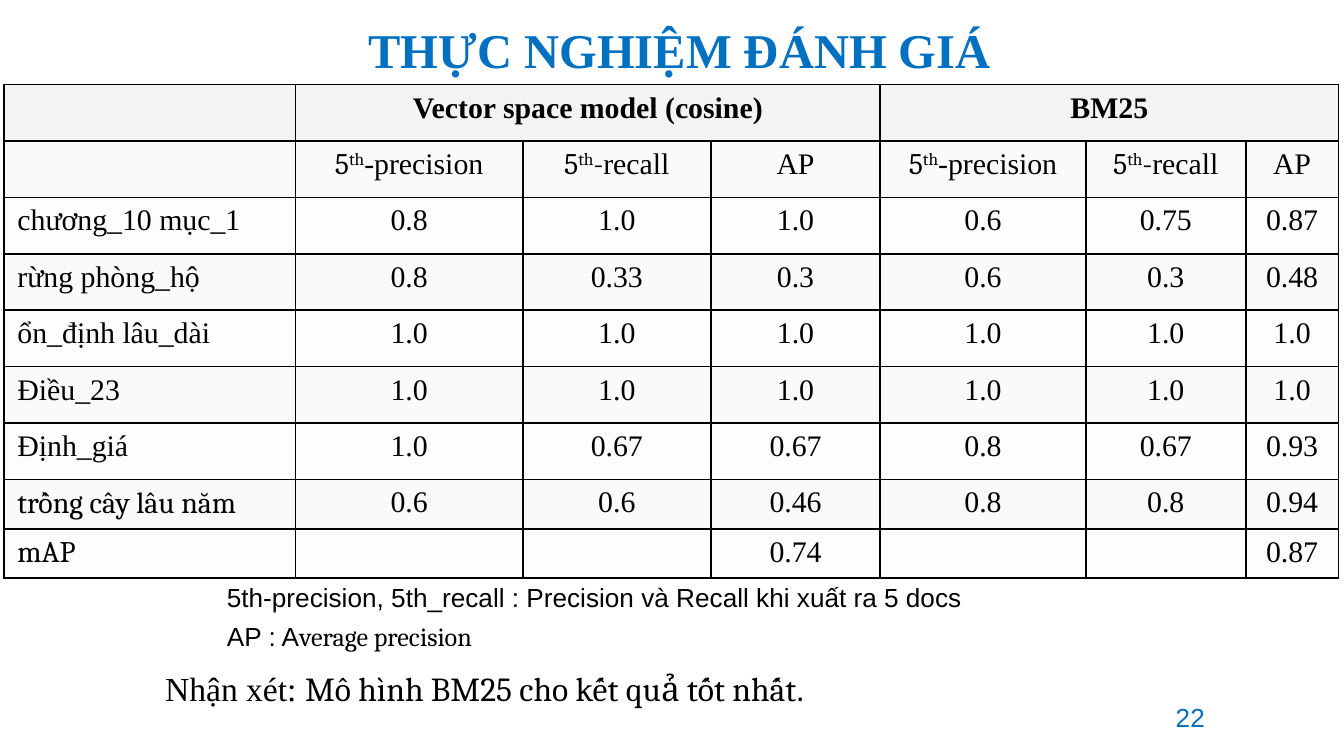
from lxml import etree
from pptx import Presentation
from pptx.dml.color import RGBColor
from pptx.enum.text import MSO_ANCHOR, PP_ALIGN
from pptx.oxml.ns import qn
from pptx.util import Inches, Pt

LEFT, CENTER = PP_ALIGN.LEFT, PP_ALIGN.CENTER
TOP = MSO_ANCHOR.TOP
COLORS = {
    "blue": "0070C0", "black": "000000",
    "head": "F3F3F3", "odd": "FAFAFA", "even": "FDFDFD",
}
TIMES, CAMBRIA, ARIAL = "Times New Roman", "Cambria", "Arial"

COLS = [2.17, 1.69, 1.4, 1.26, 1.53, 1.19, 0.69]
ROWS = [0.42] * 7 + [0.36] * 2
FIFTH = [("5", {"face": CAMBRIA}), ("th", {"face": CAMBRIA, "base": 30})]
MEASURES = [
    FIFTH + ["-precision"],
    FIFTH + [("-", {"face": CAMBRIA}), "recall"],
    ["AP"],
]
GROUPS = {1: "Vector space model (cosine)", 4: "BM25"}
SCORES = [
    ["chương_10 mục_1", "0.8", "1.0", "1.0", "0.6", "0.75", "0.87"],
    ["rừng phòng_hộ", "0.8", "0.33", "0.3", "0.6", "0.3", "0.48"],
    ["ổn_định lâu_dài"] + ["1.0"] * 6,
    ["Điều_23"] + ["1.0"] * 6,
    ["Định_giá", "1.0", "0.67", "0.67", "0.8", "0.67", "0.93"],
    [("trồng cây lâu năm ", {"face": CAMBRIA}),
     "0.6", "0.6", "0.46", "0.8", "0.8", "0.94"],
    [("mAP", {"face": CAMBRIA}), "", "", "0.74", "", "", "0.87"],
]


def rgb(name):
    return RGBColor.from_string(COLORS[name])


def write(frame, lines, align=LEFT, **base):
    """Fill a frame; a run is a string or a (string, format) pair."""
    for i, line in enumerate(lines):
        para = frame.paragraphs[0] if i == 0 else frame.add_paragraph()
        para.alignment = align
        for part in line:
            text, extra = (part, {}) if isinstance(part, str) else part
            form = {"size": 16, "face": TIMES, "color": "black",
                    "bold": False, "base": 0, **base, **extra}
            run = para.add_run()
            run.text = text
            font = run.font
            font.size, font.name = Pt(form["size"]), form["face"]
            font.bold = form["bold"]
            font.color.rgb = rgb(form["color"])
            if form["base"]:
                font._element.set("baseline", str(form["base"] * 1000))


def place(shape, box):
    shape.left, shape.top, shape.width, shape.height = map(Inches, box)


def add_title(slide, box):
    title = slide.shapes.title
    place(title, box)
    frame = title.text_frame
    frame.word_wrap = True
    frame.vertical_anchor = TOP
    frame.margin_left = frame.margin_right = Inches(0.1)
    frame.margin_top = frame.margin_bottom = Inches(0.1)
    write(frame, [["THỰC NGHIỆM ĐÁNH GIÁ"]], align=CENTER,
          size=26, color="blue", bold=True)


def add_note(slide, box, lines, **form):
    frame = slide.shapes.add_textbox(*map(Inches, box)).text_frame
    frame.word_wrap = True
    write(frame, lines, **form)


def style_cell(cell, fill):
    """Draw thin black borders and set the fill."""
    props = cell._tc.get_or_add_tcPr()
    for side in ("lnL", "lnR", "lnT", "lnB"):
        line = etree.SubElement(props, qn("a:" + side), w=str(Pt(1)))
        solid = etree.SubElement(line, qn("a:solidFill"))
        etree.SubElement(solid, qn("a:srgbClr"), val=COLORS["black"])
    cell.fill.solid()
    cell.fill.fore_color.rgb = rgb(fill)


def add_scores(slide, box):
    grid = slide.shapes.add_table(len(ROWS), len(COLS),
                                  *map(Inches, box)).table
    for col, width in zip(grid.columns, COLS):
        col.width = Inches(width)
    for row, height in zip(grid.rows, ROWS):
        row.height = Inches(height)

    # Two header rows, then one row per query
    heads = [[GROUPS.get(c, "")] for c in range(len(COLS))]
    body = [heads, [[""]] + MEASURES * 2]
    body += [[[value] for value in row] for row in SCORES]

    for r, row in enumerate(body):
        fill = "head" if r == 0 else "odd" if r % 2 else "even"
        for c, runs in enumerate(row):
            cell = grid.cell(r, c)
            style_cell(cell, fill)
            if runs == [""]:
                # Keep empty cells from stretching their row
                para = cell.text_frame.paragraphs[0]._p
                etree.SubElement(para, qn("a:endParaRPr"), sz="1600")
            else:
                write(cell.text_frame, [runs], bold=r == 0,
                      align=CENTER if c else LEFT)
    for c in GROUPS:
        grid.cell(0, c).merge(grid.cell(0, c + 2))


def main():
    deck = Presentation()
    # Widescreen, 16:9
    deck.slide_width, deck.slide_height = Inches(10), Inches(10 * 9 / 16)
    slide = deck.slides.add_slide(deck.slide_layouts[0])
    sub = slide.placeholders[1]._element
    sub.getparent().remove(sub)

    add_title(slide, (2.21, 0.05, 5.7, 1.03))
    # Page number
    add_note(slide, (8.65, 5.17, 0.64, 0.35), [["22"]],
             size=14, face=ARIAL, color="blue")
    add_scores(slide, (0.03, 0.63, sum(COLS), sum(ROWS)))
    # Remark and legend
    add_note(slide, (1.13, 4.92, 5.38, 0.4), [[
        "Nhận xét: ",
        ("Mô hình BM25 cho kết quả tốt nhất. ", {"face": CAMBRIA}),
    ]], size=18)
    add_note(slide, (1.59, 4.28, 6.1, 0.64), [
        ["5th-precision, 5th_recall : Precision và Recall khi xuất ra 5 docs"],
        ["AP : A", ("verage precision", {"face": CAMBRIA}),
         (" ", {"face": CAMBRIA, "size": 18})],
    ], size=14, face=ARIAL)
    deck.save("out.pptx")


if __name__ == "__main__":
    main()
